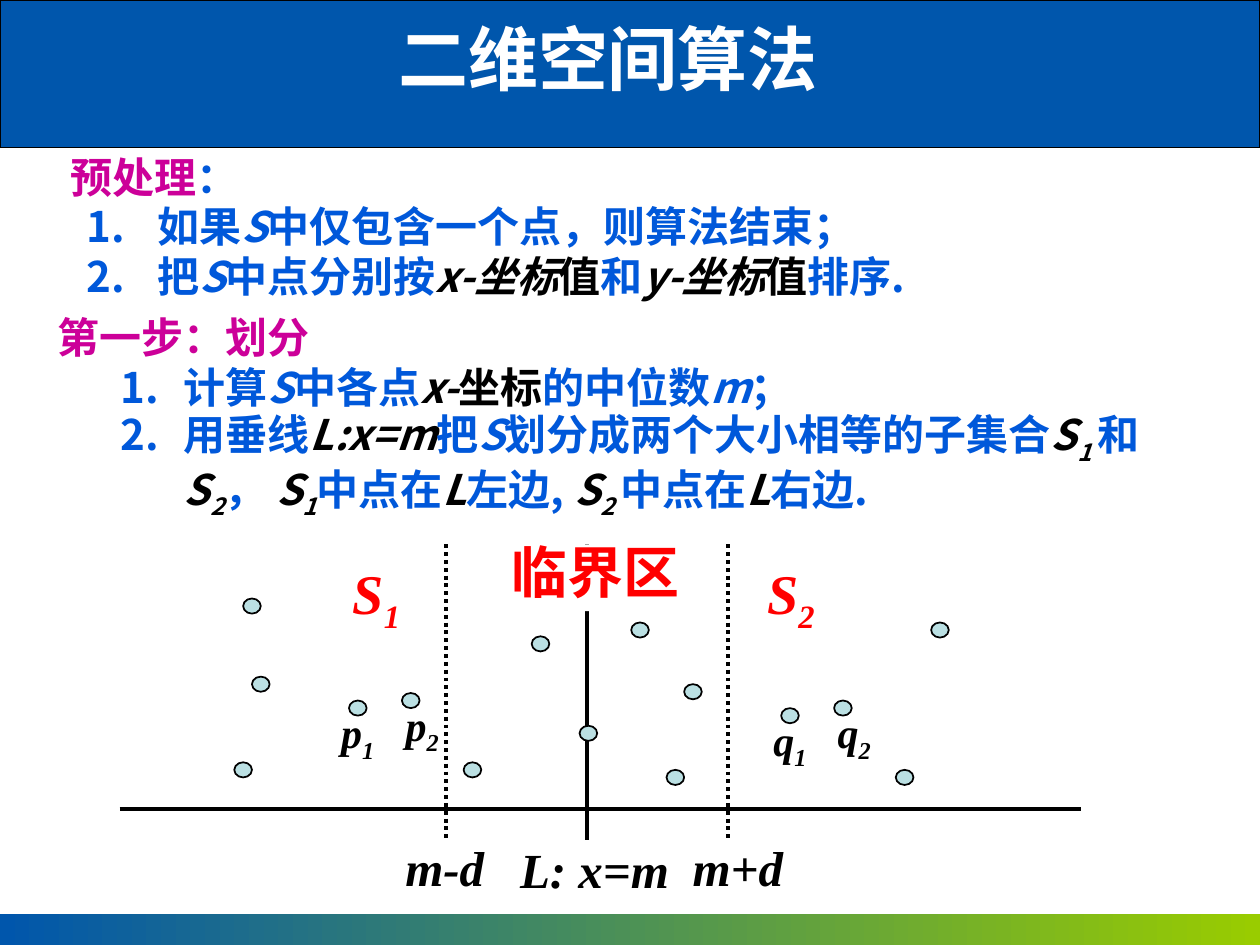
import pptx
import pptx.util
import pptx.dml.color
import pptx.enum.dml
import pptx.enum.shapes
import pptx.enum.text
import pptx.oxml
import pptx.oxml.ns
from pptx.util import Inches

RGB = pptx.dml.color.RGBColor
WHITE = RGB(0xFF, 0xFF, 0xFF)
BLACK = RGB(0x00, 0x00, 0x00)
BLUE = RGB(0x00, 0x58, 0xDA)
NAVY = RGB(0x00, 0x56, 0xAC)
LIME = RGB(0x99, 0xCC, 0x00)
MAGENTA = RGB(0xCC, 0x00, 0x99)
RED = RGB(0xFF, 0x00, 0x00)
PALE = RGB(0xBB, 0xE0, 0xE3)

SHAPE = pptx.enum.shapes.MSO_SHAPE
ALIGN = pptx.enum.text.PP_ALIGN
HEI = "Noto Sans CJK SC"
TIMES = "Times New Roman"


def add_xml(parent, tag, **attributes):
    child = pptx.oxml.parse_xml(f"<a:{tag} {pptx.oxml.ns.nsdecls('a')}/>")
    for name, value in attributes.items():
        child.set(name, value)
    parent.append(child)


class Board:
    def __init__(self, slide):
        self.slide = slide
        self.title, self.preprocessing, self.division = slide.placeholders

    def place(self, shape, left, top, width, height):
        shape.left, shape.top = Inches(left), Inches(top)
        shape.width, shape.height = Inches(width), Inches(height)

    def run(self, paragraph, text, size, color, font=HEI, bold=True, italic=False, sub=False):
        run = paragraph.add_run()
        run.text = text
        run.font.size = pptx.util.Pt(size)
        run.font.bold, run.font.italic = bold, italic
        run.font.color.rgb = color
        run.font.name = font
        properties = run.font._element
        add_xml(properties, "ea", typeface=HEI)
        if sub:
            properties.set("baseline", "-25000")

    def frame(self, shape, wrap=True):
        text_frame = shape.text_frame
        text_frame.word_wrap = wrap
        text_frame.auto_size = pptx.enum.text.MSO_AUTO_SIZE.NONE
        text_frame.vertical_anchor = pptx.enum.text.MSO_ANCHOR.TOP
        return text_frame

    def heading(self, text, left, top, width, height):
        self.place(self.title, left, top, width, height)
        paragraph = self.frame(self.title, wrap=False).paragraphs[0]
        paragraph.alignment = ALIGN.CENTER
        paragraph.line_spacing = pptx.util.Pt(48)
        self.run(paragraph, text, 40, WHITE)

    def item(self, paragraph, runs, margin=0, hanging=0, numbered=False, spacing=28.8):
        paragraph.alignment = ALIGN.LEFT
        paragraph.space_before = pptx.util.Pt(0)
        paragraph.line_spacing = pptx.util.Pt(spacing)
        properties = paragraph._p.get_or_add_pPr()
        properties.set("marL", str(Inches(margin)))
        properties.set("indent", str(-Inches(hanging)))
        if numbered:
            add_xml(properties, "buFont", typeface="+mj-lt")
            add_xml(properties, "buAutoNum", type="arabicPeriod")
        else:
            add_xml(properties, "buNone")
        for text, color, *style in runs:
            self.run(paragraph, text, 24, color, italic="i" in style, sub="sub" in style)

    def items(self, shape, box, rows):
        self.place(shape, *box)
        text_frame = self.frame(shape)
        for index, row in enumerate(rows):
            paragraph = text_frame.add_paragraph() if index else text_frame.paragraphs[0]
            self.item(paragraph, **row)

    def textbox(self, left, top, width, height):
        return self.slide.shapes.add_textbox(*map(Inches, (left, top, width, height)))

    def label(self, left, top, width, height, text, size, color=BLACK, sub="", lead=""):
        box = self.textbox(left, top, width, height)
        paragraph = self.frame(box, wrap=False).paragraphs[0]
        if lead:
            self.run(paragraph, lead, 18, color, "Arial", bold=False)
        self.run(paragraph, text, size, color, TIMES, italic=True)
        if sub:
            self.run(paragraph, sub, size, color, TIMES, italic=True, sub=True)

    def shape(self, kind, left, top, width, height, fill, outline=None):
        shape = self.slide.shapes.add_shape(kind, *map(Inches, (left, top, width, height)))
        shape.shadow.inherit = False
        shape.fill.solid()
        shape.fill.fore_color.rgb = fill
        if outline:
            shape.line.color.rgb = BLACK
            shape.line.width = pptx.util.Pt(outline)
        else:
            shape.line.fill.background()
        return shape

    def band(self, top, height, outline=None, end_color=None):
        band = self.shape(SHAPE.RECTANGLE, 0, top, 10, height, NAVY, outline)
        if end_color:
            band.fill.gradient()
            band.fill.gradient_angle = 0
            for stop, color in zip(band.fill.gradient_stops, (NAVY, end_color)):
                stop.color.rgb = color
        band._element.getparent().insert(2, band._element)

    def point(self, left, top):
        self.shape(SHAPE.OVAL, left, top, 0.14, 0.12, PALE, 1)

    def zone(self, text, left, top, width, height):
        zone = self.shape(SHAPE.RECTANGLE, left, top, width, height, WHITE)
        paragraph = self.frame(zone, wrap=False).paragraphs[0]
        paragraph.alignment = ALIGN.LEFT
        paragraph.line_spacing = 0.8
        self.run(paragraph, text, 32, RED, "Arial")

    def line(self, x1, y1, x2, y2, dotted=False):
        line = self.slide.shapes.add_connector(
            pptx.enum.shapes.MSO_CONNECTOR.STRAIGHT, *map(Inches, (x1, y1, x2, y2)))
        line.line.color.rgb = BLACK
        line.line.width = pptx.util.Pt(2.25)
        if dotted:
            line.line.dash_style = pptx.enum.dml.MSO_LINE.ROUND_DOT
        add_xml(line._element.spPr, "effectLst")


def main():
    deck = pptx.Presentation()
    deck.slide_width, deck.slide_height = Inches(10), Inches(7.5)
    board = Board(deck.slides.add_slide(deck.slide_layouts[3]))

    board.band(7.25, 0.25, end_color=LIME)
    board.band(0, 1.17, outline=0.75)
    board.heading("二维空间算法", 2.69, 0.07, 4.27, 0.77)

    intro = board.textbox(0.46, 1.15, 9.31, 0.79)
    board.item(board.frame(intro).paragraphs[0], [("预处理", MAGENTA), ("：", BLUE)])

    first_list = dict(margin=0.56, hanging=0.56, numbered=True)
    board.items(board.preprocessing, (0.59, 1.54, 9.06, 0.91), [
        dict(first_list, runs=[
            ("如果", BLUE), ("S", BLUE, "i"), ("中仅包含一个点，则算法结束；", BLUE)]),
        dict(first_list, runs=[
            ("把", BLUE), ("S", BLUE, "i"), ("中点分别按", BLUE),
            ("x-坐标", BLACK, "i"), ("值", BLACK), ("和", BLUE),
            ("y-坐标", BLACK, "i"), ("值", BLACK), ("排序.", BLUE)]),
    ])

    steps = dict(margin=1, hanging=0.5, numbered=True)
    s = ("S", BLACK, "i")
    line_name = ("L", BLACK, "i")
    board.items(board.division, (0.36, 2.42, 9.24, 1.72), [
        dict(margin=0.5, hanging=0.5, runs=[("第一步：划分", MAGENTA)]),
        dict(steps, runs=[
            ("计算", BLUE), ("S", BLUE, "i"), ("中各点", BLUE), ("x-", BLACK, "i"),
            ("坐标", BLACK), ("的中位数", BLUE), ("m", BLUE, "i"), ("；", BLUE)]),
        dict(steps, spacing=31, runs=[
            ("用垂线", BLUE), ("L:x=m", BLACK, "i"), ("把", BLUE), ("S", BLUE, "i"),
            ("划分成两个大小相等的子集合", BLUE), s, ("1 ", BLACK, "i", "sub"),
            ("和 ", BLUE), s, ("2", BLACK, "i", "sub"), ("， ", BLUE),
            s, ("1", BLACK, "i", "sub"), ("中点在", BLUE), line_name, ("左边, ", BLUE),
            s, ("2 ", BLACK, "i", "sub"), ("中点在", BLUE), line_name, ("右边.", BLUE)]),
    ])

    top, bottom, middle, distance = 4.32, 6.67, 4.66, 1.12
    board.line(0.95, 6.42, 8.58, 6.42)
    board.line(middle, top, middle, bottom)
    for side in (-1, 1):
        boundary = middle + side * distance
        board.line(boundary, top, boundary, bottom, dotted=True)

    for left, height in [(1.93, 4.75), (1.86, 6.05), (4.22, 5.05), (2, 5.37), (3.68, 6.05),
                         (5.01, 4.94), (5.29, 6.11), (7.39, 4.94), (5.43, 5.43),
                         (7.11, 6.11), (4.6, 5.76)]:
        board.point(left, height)
    for name, number, left, height, shift in [("p", "1", 2.77, 5.56, 0.16), ("p", "2", 3.19, 5.5, 0.07),
                                              ("q", "1", 6.2, 5.62, 0.16), ("q", "2", 6.62, 5.56, 0.07)]:
        board.point(left, height)
        board.label(left - shift, height, 0.48, 0.5, name, 24, sub=number)

    for number, left in (("1", 2.7), ("2", 5.99)):
        board.label(left, 4.38, 0.6, 0.64, "S", 32, RED, sub=number)
    board.label(4.03, 6.61, 1.4, 0.57, "L: x=m", 28)
    board.label(3.05, 6.6, 0.9, 0.57, "m-d", 28, lead=" ")
    board.label(5.33, 6.6, 1, 0.57, "m+d", 28, lead=" ")
    board.zone("临界区", 3.96, top, 1.54, 0.53)

    deck.save("out.pptx")


if __name__ == "__main__":
    main()
